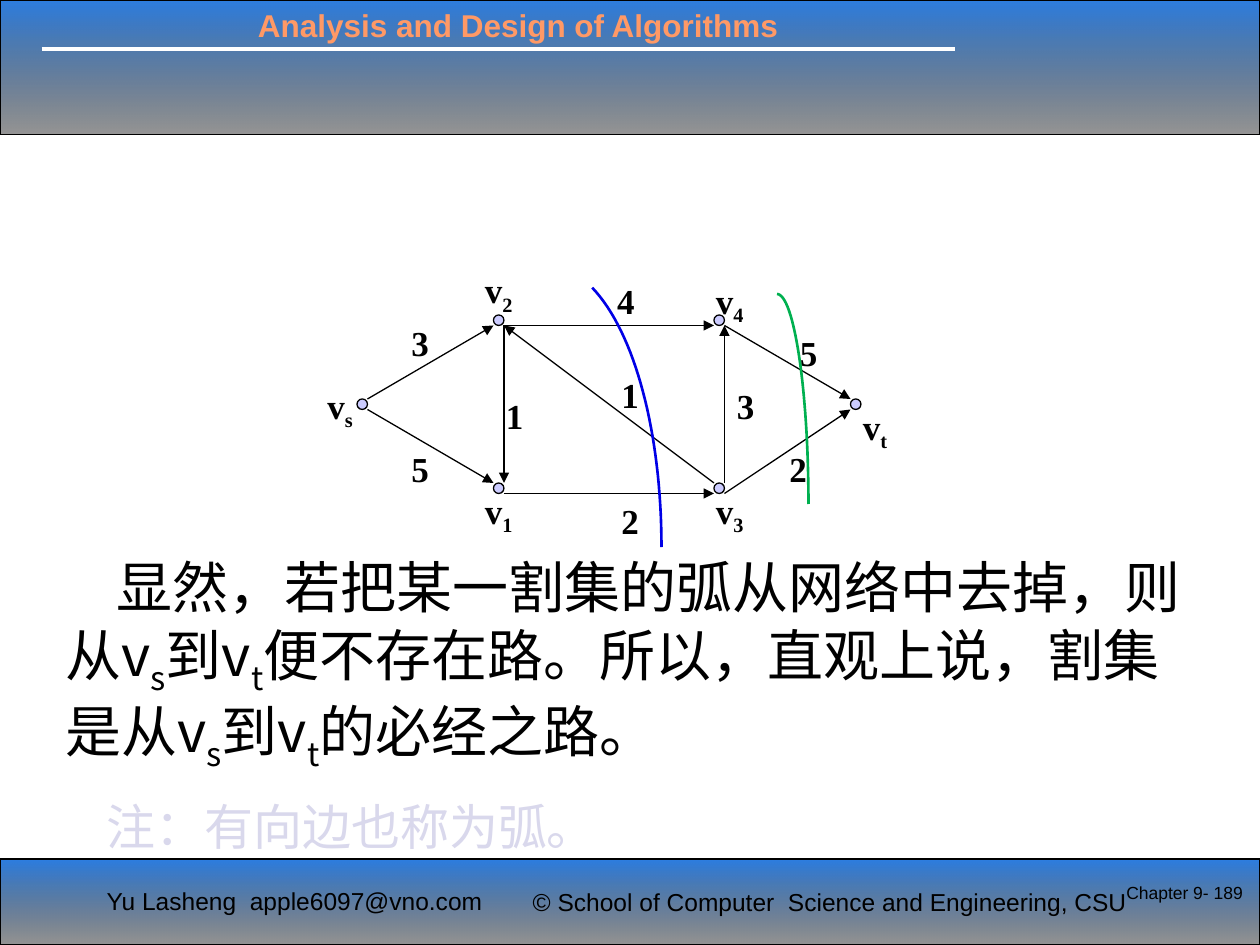
from dataclasses import dataclass
from typing import NamedTuple

import lxml.etree
import pptx
import pptx.dml.color
import pptx.enum.dml
import pptx.enum.shapes
import pptx.enum.text
import pptx.oxml
import pptx.oxml.ns
import pptx.util

Cm = pptx.util.Cm
Pt = pptx.util.Pt


@dataclass(frozen=True)
class Style:
    size: float
    font: str
    color: str
    bold: bool = False


@dataclass(frozen=True)
class Theme:
    black: str = "000000"
    white: str = "FFFFFF"
    band_top: str = "0E6BDC"
    node: str = "CCCCFF"
    blue_cut: str = "0000E6"
    green_cut: str = "00B050"
    thin: float = 0.75
    cut: float = 1.5
    rule: float = 2.25
    course: Style = Style(18, "Arial", "FF9966", True)
    footer: Style = Style(14, "Arial", "000000")
    number: Style = Style(10, "Arial", "000000")
    body: Style = Style(32, "Noto Sans CJK SC", "000000")
    note: Style = Style(28, "Arial", "D9D8EC")
    label: Style = Style(20, "Times New Roman", "000000", True)


class Node(NamedTuple):
    x: float
    y: float
    subscript: str
    label_x: float
    label_y: float


class Arc(NamedTuple):
    start: tuple[float, float]
    end: tuple[float, float]
    capacity: str
    label_x: float
    label_y: float


class Cut(NamedTuple):
    color: str
    controls: tuple[tuple[float, float], ...]


THEME = Theme()
NODES = [
    Node(34, 38, "s", 30, 36), Node(47, 30, "2", 45, 25), Node(68, 30, "4", 67, 26),
    Node(68, 46, "3", 67, 46), Node(81, 38, "t", 81, 38), Node(47, 46, "1", 45, 46),
]
ARCS = [
    Arc((35, 38), (47, 31), "3", 38, 30), Arc((35, 39), (47, 46), "5", 38, 42),
    Arc((48, 31), (48, 46), "1", 47, 37), Arc((48, 31), (68, 31), "4", 57.6, 26),
    Arc((48, 47), (68, 47), "2", 58, 47), Arc((69, 46), (69, 31), "3", 69, 36),
    Arc((68, 46), (48, 31), "1", 58, 35), Arc((69, 31), (81, 38), "5", 75, 31),
    Arc((69, 47), (81, 39), "2", 74, 42),
]
CUTS = [
    Cut(THEME.blue_cut, ((56.4, 27.4), (60.5, 31.7), (63, 41.3), (63, 52.1))),
    Cut(THEME.green_cut, ((74, 28), (75.6, 28), (77, 37), (77, 48))),
]


def grid(steps: float) -> pptx.util.Length:
    """Length on the network's grid, twelve steps to 2.54 cm."""
    return Cm(steps * 2.54 / 12)


def rgb(value: str) -> pptx.dml.color.RGBColor:
    return pptx.dml.color.RGBColor.from_string(value)


def set_line(line, color: str, width: float) -> None:
    line.color.rgb = rgb(color)
    line.width = Pt(width)


def add_text(page, left, top, width, height, spans, style: Style, wrap=True, grow=True):
    """Add a one-paragraph box; spans are (text, is_subscript) pairs."""
    box = page.shapes.add_textbox(left, top, width, height)
    frame = box.text_frame
    frame.word_wrap = wrap
    if grow:
        frame.auto_size = pptx.enum.text.MSO_AUTO_SIZE.SHAPE_TO_FIT_TEXT
    para = frame.paragraphs[0]
    for text, subscript in spans:
        span = para.add_run()
        span.text = text
        span.font.size = Pt(style.size)
        span.font.name = style.font
        span.font.bold = style.bold
        span.font.color.rgb = rgb(style.color)
        properties = span.font._element
        if subscript:
            properties.set("baseline", "-25000")
        east_asian = lxml.etree.SubElement(properties, pptx.oxml.ns.qn("a:ea"))
        east_asian.set("typeface", "Noto Sans CJK SC")
    return para


def add_band(page, top, height) -> None:
    band = page.shapes.add_shape(
        pptx.enum.shapes.MSO_SHAPE.RECTANGLE, 0, top, Cm(25.4), height)
    band.shadow.inherit = False
    band.fill.gradient()
    band.fill.gradient_angle = 270
    stops = ((THEME.band_top, 88), (THEME.black, 41))
    for stop, (color, opacity) in zip(band.fill.gradient_stops, stops):
        stop.color.rgb = rgb(color)
    for element, (color, opacity) in zip(band._element.iter(pptx.oxml.ns.qn("a:srgbClr")), stops):
        alpha = lxml.etree.SubElement(element, pptx.oxml.ns.qn("a:alpha"))
        alpha.set("val", str(opacity * 1000))
    set_line(band.line, THEME.black, THEME.thin)


def add_line(page, start, end, color: str, width: float, arrow=False) -> None:
    line = page.shapes.add_connector(
        pptx.enum.shapes.MSO_CONNECTOR.STRAIGHT, *start, *end)
    set_line(line.line, color, width)
    if arrow:
        head = lxml.etree.SubElement(line.line._get_or_add_ln(), pptx.oxml.ns.qn("a:tailEnd"))
        head.set("type", "triangle")
    lxml.etree.SubElement(line._element.spPr, pptx.oxml.ns.qn("a:effectLst"))


def add_node(page, node: Node) -> None:
    dot = page.shapes.add_shape(
        pptx.enum.shapes.MSO_SHAPE.OVAL, grid(node.x), grid(node.y), grid(1), grid(1))
    dot.shadow.inherit = False
    dot.fill.solid()
    dot.fill.fore_color.rgb = rgb(THEME.node)
    set_line(dot.line, THEME.black, THEME.thin)


def add_label(page, x: float, y: float, spans) -> None:
    add_text(page, grid(x), grid(y), grid(6), Cm(1.09), spans, THEME.label)


def add_cut(page, cut: Cut, segments: int = 32) -> None:
    """Trace a cubic curve through short segments."""
    points = []
    for step in range(segments + 1):
        t = step / segments
        weights = ((1 - t) ** 3, 3 * t * (1 - t) ** 2, 3 * t ** 2 * (1 - t), t ** 3)
        points.append(tuple(
            grid(sum(w * p[axis] for w, p in zip(weights, cut.controls))) for axis in (0, 1)))
    builder = page.shapes.build_freeform(*points[0])
    builder.add_line_segments(points[1:], close=False)
    curve = builder.convert_to_shape()
    curve.shadow.inherit = False
    curve.fill.background()
    set_line(curve.line, cut.color, THEME.cut)


def main() -> None:
    deck = pptx.Presentation()
    deck.slide_width, deck.slide_height = Cm(25.4), Cm(19.05)
    page = deck.slides.add_slide(deck.slide_layouts[6])

    add_band(page, 0, Cm(2.72))
    add_band(page, Cm(17.32), Cm(1.73))
    add_line(page, (Cm(0.84), Cm(0.99)), (Cm(19.25), Cm(0.99)), THEME.white, THEME.rule)
    add_text(page, Cm(4.95), 0, Cm(12.7), Cm(1.02),
             [("Analysis and Design of Algorithms", False)], THEME.course)
    add_text(page, Cm(1.9), Cm(17.73), Cm(8.15), Cm(1.45),
             [("Yu Lasheng  apple6097@vno.com", False)], THEME.footer, wrap=False)
    add_text(page, Cm(10.49), Cm(17.75), Cm(13), Cm(0.86),
             [("© School of Computer  Science and Engineering, CSU", False)],
             THEME.footer, wrap=False)

    body = [("显然，若把某一割集的弧从网络中去掉，则从v", False), ("s", True), ("到v", False),
            ("t", True), ("便不存在路。所以，直观上说，割集是从v", False), ("s", True),
            ("到v", False), ("t", True), ("的必经之路。", False)]
    para = add_text(page, Cm(1.07), Cm(11.02), Cm(23.7), Cm(4.32), body, THEME.body)
    para._p.get_or_add_pPr().set("indent", str(Cm(1.02)))

    for node in NODES:
        add_node(page, node)
        add_label(page, node.label_x, node.label_y, [("v", False), (node.subscript, True)])
    for arc in ARCS:
        ends = [tuple(map(grid, point)) for point in (arc.start, arc.end)]
        add_line(page, *ends, THEME.black, THEME.thin, arrow=True)
        add_label(page, arc.label_x, arc.label_y, [(arc.capacity, False)])
    for cut in CUTS:
        add_cut(page, cut)

    add_text(page, Cm(1.9), Cm(15.93), Cm(22.2), Cm(1.45),
             [("注：有向边也称为弧。", False)], THEME.note)
    number = add_text(page, Cm(22.3), Cm(17.65), Cm(3), Cm(1.27),
                      [("Chapter 9- 189", False)], THEME.number, grow=False)
    number.alignment = pptx.enum.text.PP_ALIGN.RIGHT
    deck.save("out.pptx")


if __name__ == "__main__":
    main()
